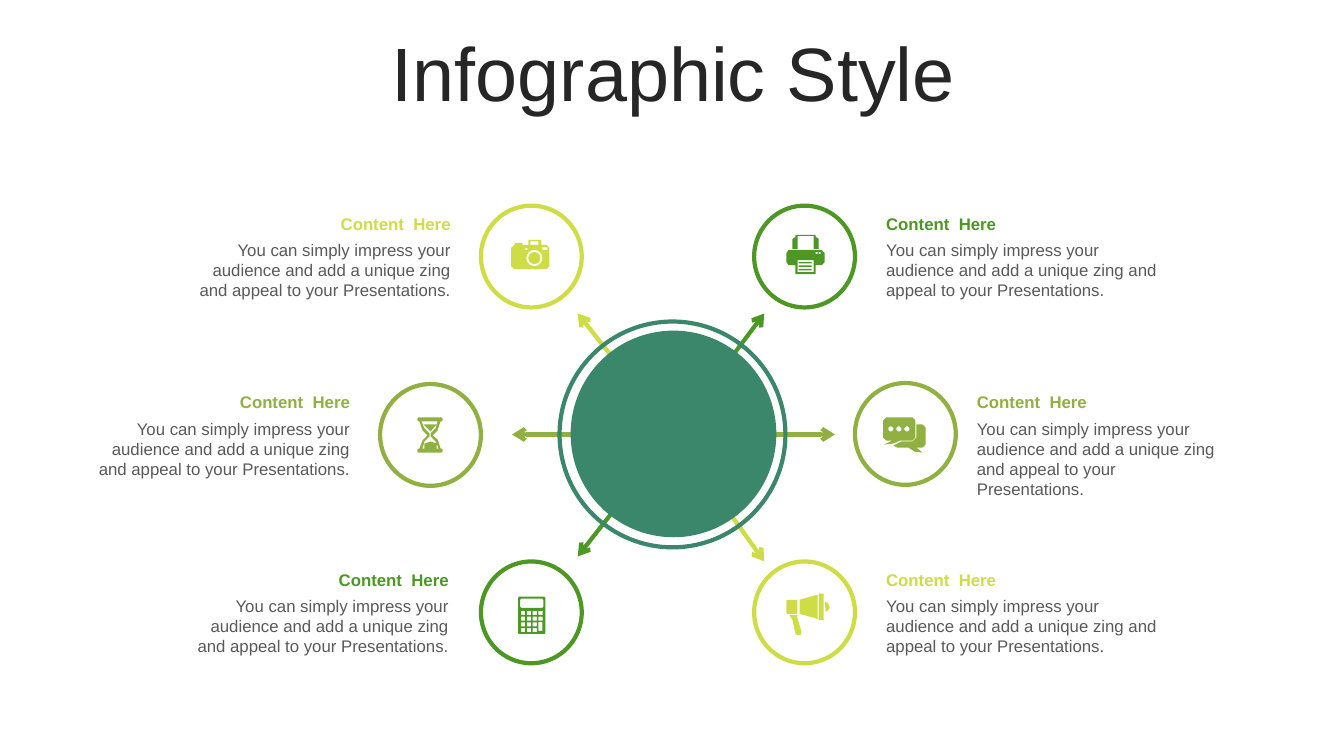
import math
from lxml import etree
from pptx import Presentation
from pptx import util as u
from pptx.dml.color import RGBColor
from pptx.enum import shapes, text
from pptx.oxml.ns import qn

PX = 9144  # EMU per px, 100 px to the inch
C = {k: RGBColor.from_string(v) for k, v in {
    "title": "262626", "body": "595959", "hub": "3A876B",
    "lime": "CEDD46", "olive": "90B141", "green": "4D9724"}.items()}
BODY = ("You can simply impress your audience and add a unique zing "
        "and appeal to your Presentations.")
HUB = (668, 431)

prs = Presentation()
prs.slide_width, prs.slide_height = 1333 * PX, 750 * PX
s = prs.slides.add_slide(prs.slide_layouts[5])


def box(x, y, w, h, cut=0):
    """Corner points of a rectangle, with its corners cut off when cut is given."""
    if not cut:
        return [(x, y), (x + w, y), (x + w, y + h), (x, y + h)]
    return [(x, y + cut), (x + cut, y), (x + w - cut, y), (x + w, y + cut),
            (x + w, y + h - cut), (x + w - cut, y + h), (x + cut, y + h), (x, y + h - cut)]


def ellipse(x, y, w, h, fill=None, line=None):
    sp = s.shapes.add_shape(shapes.MSO_SHAPE.OVAL, x * PX, y * PX, w * PX, h * PX)
    sp.shadow.inherit = False
    if fill:
        sp.fill.solid()
        sp.fill.fore_color.rgb = C[fill]
        sp.line.fill.background()
    else:
        sp.fill.background()
        sp.line.color.rgb = C[line]
        sp.line.width = u.Pt(3)


# Title
title = s.shapes.title
title.left, title.top, title.width, title.height = 35 * PX, 37 * PX, 1266 * PX, 79 * PX
tf = title.text_frame
tf.text = "Infographic Style"
tf.auto_size = text.MSO_AUTO_SIZE.NONE
tf.vertical_anchor = text.MSO_ANCHOR.MIDDLE
p = tf.paragraphs[0]
p.alignment = text.PP_ALIGN.CENTER
p.line_spacing = 0.9
p.font.name, p.font.size, p.font.color.rgb = "Arial", u.Pt(54), C["title"]

# Topics: colour, circle corner, arrow tip, text left, top and width, alignment
LEFT, RIGHT = text.PP_ALIGN.LEFT, text.PP_ALIGN.RIGHT
topics = [
    ("green", (748, 204), (758, 311), (869, 207, 292), LEFT),
    ("olive", (848, 380), (828, 431), (959, 384, 265), LEFT),
    ("lime", (748, 557), (758, 557), (869, 560, 292), LEFT),
    ("lime", (477, 204), (573, 311), (181, 207, 276), RIGHT),
    ("olive", (377, 381), (508, 431), (88, 384, 269), RIGHT),
    ("green", (477, 557), (573, 552), (179, 560, 276), RIGHT),
]

# Text blocks
for color, _, _, (x, y, w), align in topics:
    for wording, top, h, ink, bold, anchor in (
            (BODY, y + 26, 71, "body", False, text.MSO_ANCHOR.TOP),
            ("Content  Here", y, 30, color, True, text.MSO_ANCHOR.MIDDLE)):
        tf = s.shapes.add_textbox(x * PX, top * PX, w * PX, h * PX).text_frame
        tf.word_wrap = True
        tf.auto_size = text.MSO_AUTO_SIZE.SHAPE_TO_FIT_TEXT
        tf.vertical_anchor = anchor
        p = tf.paragraphs[0]
        p.text, p.alignment = wording, align
        p.font.name, p.font.size, p.font.bold = "Arial", u.Pt(12), bold
        p.font.color.rgb = C[ink]

# Arrows from the hub
for color, _, (x, y), _, _ in topics:
    cn = s.shapes.add_connector(shapes.MSO_CONNECTOR.STRAIGHT,
                                HUB[0] * PX, HUB[1] * PX, x * PX, y * PX)
    cn.line.color.rgb = C[color]
    cn.line.width = u.Pt(3)
    etree.SubElement(cn.line._get_or_add_ln(), qn("a:tailEnd"), type="arrow")
    etree.SubElement(cn._element.spPr, qn("a:effectLst"))

# Hub, ring and topic circles
ellipse(566, 328, 204, 205, fill="hub")
ellipse(555, 319, 224, 224, line="hub")
for color, (x, y), _, _, _ in topics:
    ellipse(x, y, 100, 101, line=color)

# Icon outlines; contours nested inside another one cut holes
calculator = [box(514, 592, 27, 37, 1), box(516, 594, 23, 9, 1), box(534, 617, 4, 9)]
calculator += [box(517 + 5.7 * col, 606 + 5.7 * row, 4, 4)
               for row in range(4) for col in range(4) if col < 3 or row < 2]
printer = [
    [(789, 233), (809, 233), (809, 235), (812, 237), (812, 247), (807, 247),
     (807, 234), (791, 234), (791, 247), (786, 247), (786, 237), (789, 235)],
    [(782, 248), (815, 248), (818, 251), (818, 260), (815, 263), (809, 263), (809, 272),
     (789, 272), (789, 263), (782, 263), (780, 260), (780, 251)],
    box(791, 258, 16, 12),
    *[box(792, y, 13, 1.4) for y in (260, 263.4, 266.8)],
    *[box(x, 250, 2, 2) for x in (809, 812)],
]
chat = [
    [(879, 414), (905, 414), (908, 417), (908, 434), (905, 437), (893, 437), (886, 440),
     (877, 441), (885, 437), (879, 437), (876, 434), (876, 417)],
    [(909, 421), (915, 421), (918, 424), (918, 441), (915, 444), (909, 444), (915, 449),
     (907, 448), (901, 444), (890, 444), (886, 442), (894, 438), (905, 438), (909, 434)],
    *[box(x, 423, 5, 5, 1.5) for x in (881, 889, 897)],
]
hourglass = [
    box(414, 414, 25, 4, 1), box(414, 445, 25, 4, 1),
    [(416, 418), (437, 418), (434, 427), (429, 432), (434, 436), (437, 445),
     (416, 445), (419, 437), (424, 432), (419, 427)],
    [(418, 418), (421, 425), (426, 430), (426, 433), (421, 438), (419, 445),
     (435, 445), (432, 438), (427, 433), (427, 430), (432, 425), (434, 418)],
    [(420, 421), (433, 421), (427, 428)],
    [(427, 438), (433, 440), (433, 445), (421, 445), (421, 440)],
]
megaphone = [
    box(780, 595, 11, 14, 1), box(812, 589, 5, 26),
    [(793, 595), (811, 590), (811, 614), (793, 609)],
    [(783, 610), (791, 610), (791, 613), (795, 627), (794, 630), (791, 630),
     (789, 629), (786, 615)],
    [(818, 597), (821, 598), (823, 602), (822, 605), (819, 607)],
]
camera = [
    [(524, 238), (537, 238), (537, 243), (542, 243), (545, 246), (545, 264),
     (542, 267), (510, 267), (507, 264), (507, 246), (510, 243), (511, 241),
     (518, 241), (518, 243), (524, 243)],
    box(526, 239, 8, 4), box(521, 246, 2, 2), box(538, 245, 5, 3),
    *[[(530 + r * math.cos(i * math.pi / 8), 256 + r * math.sin(i * math.pi / 8))
       for i in range(16)] for r in (8, 6)],
]

# Icons, in tenths of a px, in topic order
icons = [printer, chat, megaphone, camera, hourglass, calculator]
for (color, *_), contours in zip(topics, icons):
    outlines = [[(x * 10, y * 10) for x, y in pts] for pts in contours]
    fb = s.shapes.build_freeform(*outlines[0][0], scale=PX / 10)
    for i, pts in enumerate(outlines):
        if i:
            fb.move_to(*pts[0])
        fb.add_line_segments(pts[1:], close=True)
    sp = fb.convert_to_shape()
    sp.shadow.inherit = False
    sp.fill.solid()
    sp.fill.fore_color.rgb = C[color]
    sp.line.fill.background()

prs.save("out.pptx")
